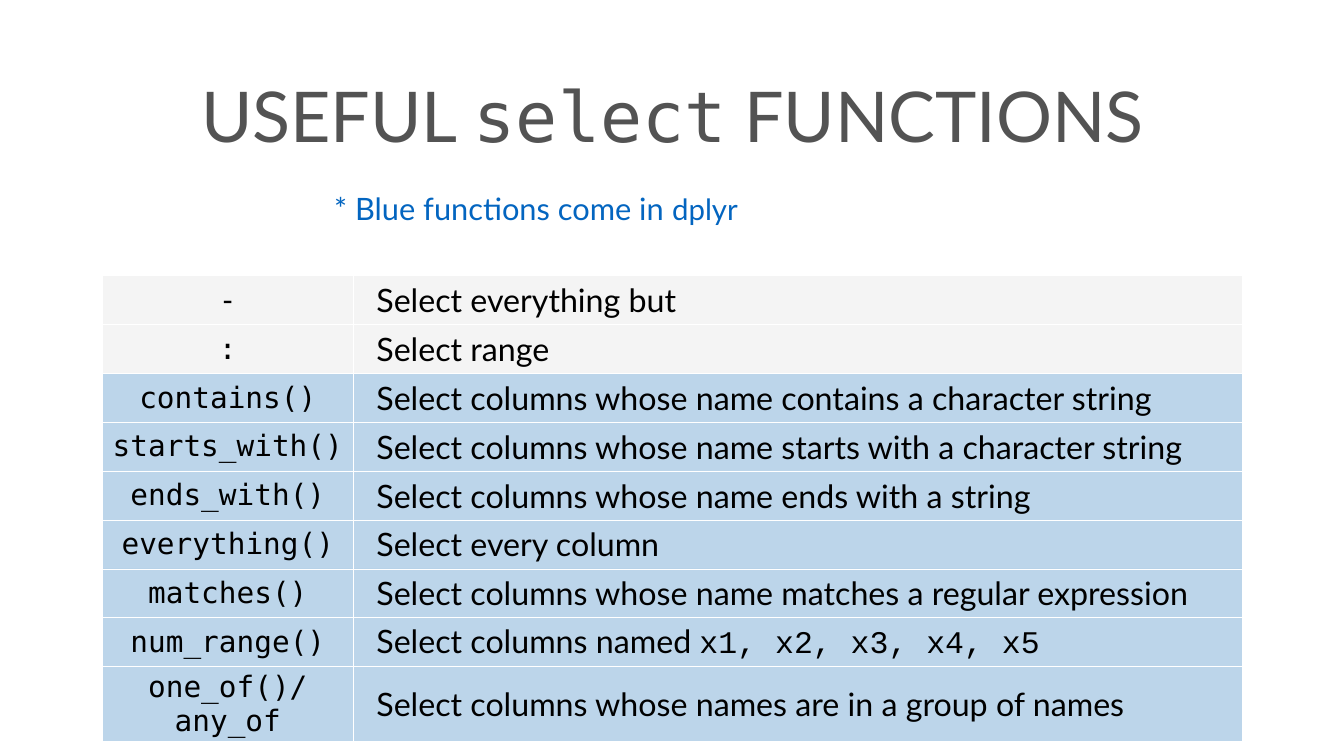
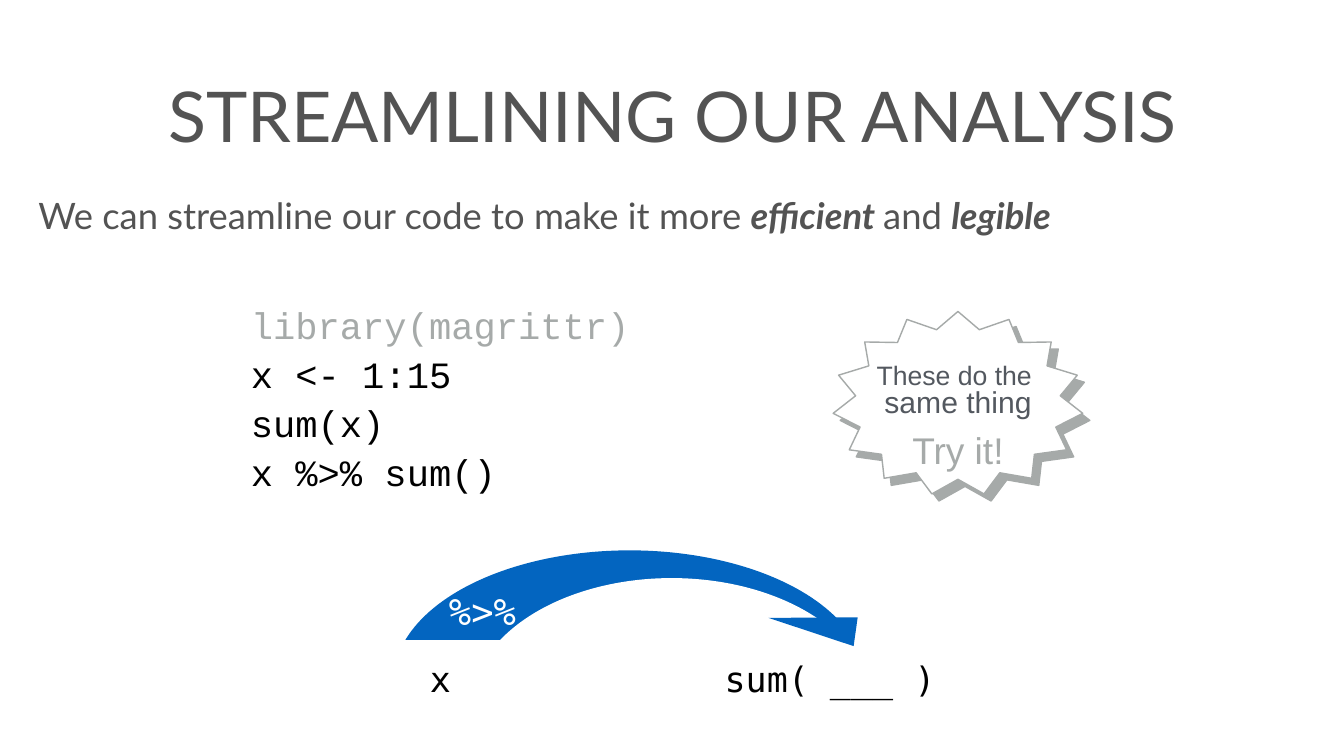
import math

import pptx
import pptx.dml.color
import pptx.enum.shapes
import pptx.enum.text
import pptx.oxml
import pptx.oxml.ns
import pptx.util
from pptx.util import Inches

RGBColor = pptx.dml.color.RGBColor
ALIGN = pptx.enum.text.PP_ALIGN
ANCHOR = pptx.enum.text.MSO_ANCHOR
SHAPE = pptx.enum.shapes.MSO_SHAPE

WHITE = RGBColor(0xFF, 0xFF, 0xFF)
BLACK = RGBColor(0, 0, 0)
BLUE = RGBColor(0x03, 0x65, 0xC0)
PALE_BLUE = RGBColor(0x78, 0xAA, 0xD6)
PALE_GRAY = RGBColor(0xEB, 0xEB, 0xEB)
GRAY = RGBColor(0xA6, 0xAA, 0xA9)
DARK_GRAY = RGBColor(0x53, 0x53, 0x53)
SLATE = RGBColor(0x53, 0x58, 0x5F)

LATO = "Lato"
MONO = "DejaVu Sans Mono"
COURIER = "Courier New"
ARIAL = "Arial"

BASE_FUNCTIONS = [
    ("-", ["Select everything but"]),
    (":", ["Select range"]),
]
DPLYR_FUNCTIONS = [
    ("contains()", ["Select columns whose name contains a character string"]),
    ("starts_with()", ["Select columns whose name starts with a character string"]),
    ("ends_with()", ["Select columns whose name ends with a string"]),
    ("everything()", ["Select every column"]),
    ("matches()", ["Select columns whose name matches a regular expression"]),
    ("num_range()", ["Select columns named ",
                     ("x1, x2, x3, x4, x5", {"name": COURIER, "size": 45})]),
    ("one_of()/any_of", ["Select columns whose names are in a group of names"]),
]


def style_font(font, name=None, size=None, color=None, bold=None, italic=None):
    if name:
        font.name = name
    if size:
        font.size = pptx.util.Pt(size)
    if color is not None:
        font.color.rgb = color
    if bold is not None:
        font.bold = bold
    if italic is not None:
        font.italic = italic


def write(para, spans, name, size, color, align=ALIGN.LEFT):
    """Fill a paragraph with spans: plain strings, or (text, font changes)."""
    para.alignment = align
    style_font(para.font, name, size, color)
    for item in spans:
        text, changes = (item, {}) if isinstance(item, str) else item
        span = para.add_run()
        span.text = text
        style_font(span.font, **changes)
    return para


def set_frame(frame, inset, anchor):
    frame.word_wrap = True
    frame.auto_size = pptx.enum.text.MSO_AUTO_SIZE.NONE
    frame.vertical_anchor = anchor
    frame.margin_left = frame.margin_right = Inches(inset)
    frame.margin_top = frame.margin_bottom = Inches(inset)


def add_text(shapes, box, inset=0.08, anchor=ANCHOR.MIDDLE):
    frame = shapes.add_textbox(*map(Inches, box)).text_frame
    set_frame(frame, inset, anchor)
    return frame


def paint(shape, fill, outline=None):
    shape.shadow.inherit = False
    shape.fill.solid()
    shape.fill.fore_color.rgb = fill
    if outline is None:
        shape.line.fill.background()
    else:
        shape.line.color.rgb = outline
        shape.line.width = pptx.util.Pt(2)


def add_polygon(shapes, points, fill, outline=None):
    corners = [(Inches(x), Inches(y)) for x, y in points]
    builder = shapes.build_freeform(*corners[0], scale=1.0)
    builder.add_line_segments(corners[1:], close=True)
    paint(builder.convert_to_shape(), fill, outline)


def add_titled_page(deck, spans):
    page = deck.slides.add_slide(deck.slide_layouts[5])
    title = page.shapes.title
    title.left, title.top = Inches(0.74), Inches(0.39)
    title.width, title.height = Inches(25.21), Inches(3.75)
    set_frame(title.text_frame, 0.06, ANCHOR.MIDDLE)
    write(title.text_frame.paragraphs[0], spans, LATO, 100, DARK_GRAY, ALIGN.CENTER)
    return page


def style_cell(cell, fill, opacity):
    """Give a cell white borders and a translucent fill."""
    cell.vertical_anchor = ANCHOR.MIDDLE
    cell.margin_left = cell.margin_right = Inches(0.06)
    cell.margin_top = cell.margin_bottom = Inches(0.06)
    cell.fill.solid()
    cell.fill.fore_color.rgb = fill
    properties = cell._tc.get_or_add_tcPr()
    namespace = pptx.oxml.ns.nsdecls("a")
    color = properties.find(".//" + pptx.oxml.ns.qn("a:srgbClr"))
    color.append(pptx.oxml.parse_xml(f'<a:alpha {namespace} val="{opacity * 1000}"/>'))
    for position, side in enumerate(("lnL", "lnR", "lnT", "lnB")):
        properties.insert(position, pptx.oxml.parse_xml(
            f'<a:{side} {namespace} w="12700"><a:solidFill>'
            f'<a:srgbClr val="{WHITE}"/></a:solidFill></a:{side}>'))


def add_function_table(page, left, top):
    entries = ([(entry, PALE_GRAY, 50) for entry in BASE_FUNCTIONS]
               + [(entry, PALE_BLUE, 49) for entry in DPLYR_FUNCTIONS])
    widths, row_height = (4.98, 17.65), 0.97
    table = page.shapes.add_table(
        len(entries), 2, Inches(left), Inches(top),
        Inches(sum(widths)), Inches(row_height * len(entries))).table
    table.first_row = table.horz_banding = False
    for column, width in zip(table.columns, widths):
        column.width = Inches(width)
    for row, ((function, meaning), fill, opacity) in enumerate(entries):
        table.rows[row].height = Inches(row_height)
        name_cell, meaning_cell = table.cell(row, 0), table.cell(row, 1)
        style_cell(name_cell, fill, opacity)
        style_cell(meaning_cell, fill, opacity)
        write(name_cell.text_frame.paragraphs[0], [function], MONO, 42, BLACK, ALIGN.CENTER)
        para = write(meaning_cell.text_frame.paragraphs[0], meaning, LATO, 46, BLACK)
        para._p.get_or_add_pPr().set("indent", str(Inches(0.4)))


def build_functions_page(deck):
    page = add_titled_page(deck, ["USEFUL ", ("select", {"name": MONO}), " FUNCTIONS"])
    add_function_table(page, 2.03, 5.47)
    note = add_text(page.shapes, (6.57, 4.08, 14.52, 1.12), 0.06, ANCHOR.TOP)
    para = write(note.paragraphs[0],
                 ["* Blue functions come in ", ("dplyr", {"size": 42})], LATO, 44, BLUE)
    para.line_spacing = 0.4
    para.space_before = pptx.util.Pt(24)


def add_code(page, box):
    frame = add_text(page.shapes, box)
    lines = [("library(magrittr)", GRAY), ("x <- 1:15", BLACK),
             ("sum(x)", BLACK), ("x %>% sum()", BLACK)]
    for number, (line, color) in enumerate(lines):
        para = frame.add_paragraph() if number else frame.paragraphs[0]
        write(para, [line], COURIER, 53, color).line_spacing = 1.1


def add_pipe_arrow(page, left, top):
    """Draw the curved arrow that carries x into sum()."""
    shapes = page.shapes.add_group_shape().shapes
    arc_parts = [
        (SHAPE.OVAL, (0.82, 0, 9.37, 5.17), BLUE),
        (SHAPE.OVAL, (2.34, 0.55, 8, 5.17), WHITE),
        (SHAPE.RECTANGLE, (0, 1.78, 11.47, 3.26), WHITE),
    ]
    for kind, (x, y, width, height), fill in arc_parts:
        box = (left + x, top + y, width, height)
        paint(shapes.add_shape(kind, *map(Inches, box)), fill)
    head = [(8.26, 1.34), (10.03, 1.33), (9.95, 1.9)]
    add_polygon(shapes, [(left + x, top + y) for x, y in head], BLUE)
    labels = [
        ("x", (1.46, 2.03, 0.8, 1.03), 50, BLACK),
        ("sum( ___ )", (7.31, 2.03, 5, 1.03), 50, BLACK),
        ("%>%", (1.84, 0.67, 2.15, 1.07), 53, WHITE),
    ]
    for text, (x, y, width, height), size, color in labels:
        frame = add_text(shapes, (left + x, top + y, width, height))
        write(frame.paragraphs[0], [text], MONO, size, color)


def star_points(left, top, tips=15, radius_x=2.49, radius_y=1.83, inner=0.82):
    """Return the outline of a star whose first tip points up."""
    points = []
    for step in range(2 * tips):
        angle = math.pi * step / tips
        reach = inner if step % 2 else 1
        points.append((left + radius_x * (1 + reach * math.sin(angle)),
                       top + radius_y * (1 - reach * math.cos(angle))))
    return points


def add_starburst(page, left, top):
    shapes = page.shapes.add_group_shape().shapes
    for offset, fill in ((0.14, GRAY), (0, WHITE)):
        add_polygon(shapes, star_points(left + offset, top + offset), fill, GRAY)
    claim = add_text(shapes, (left + 0.3, top + 0.9, 4.38, 1.39))
    first, second = claim.paragraphs[0], claim.add_paragraph()
    for para, text, size in ((first, "These do the ", 38), (second, "same thing", 43)):
        write(para, [text], ARIAL, size, SLATE, ALIGN.CENTER).line_spacing = 0.8
    call = add_text(shapes, (left + 1.04, top + 2.21, 2.9, 1.05))
    write(call.paragraphs[0], ["Try it!"], ARIAL, 53, GRAY, ALIGN.CENTER)


def build_pipe_page(deck):
    page = add_titled_page(deck, ["STREAMLINING OUR ANALYSIS"])
    strong = {"bold": True, "italic": True}
    intro = add_text(page.shapes, (0.7, 3.77, 25.27, 2.04), 0.06, ANCHOR.TOP)
    para = write(intro.paragraphs[0],
                 ["We can streamline our code to make it more ", ("efficient ", strong),
                  "and ", ("legible", strong)], LATO, 52, DARK_GRAY)
    para.space_before = pptx.util.Pt(53)
    add_code(page, (4.9, 5.87, 17.67, 3.98))
    add_pipe_arrow(page, 6.99, 10.92)
    add_starburst(page, 16.52, 6.18)


def main():
    deck = pptx.Presentation()
    deck.slide_width, deck.slide_height = Inches(26.67), Inches(15)
    build_functions_page(deck)
    build_pipe_page(deck)
    deck.save("out.pptx")


if __name__ == "__main__":
    main()
